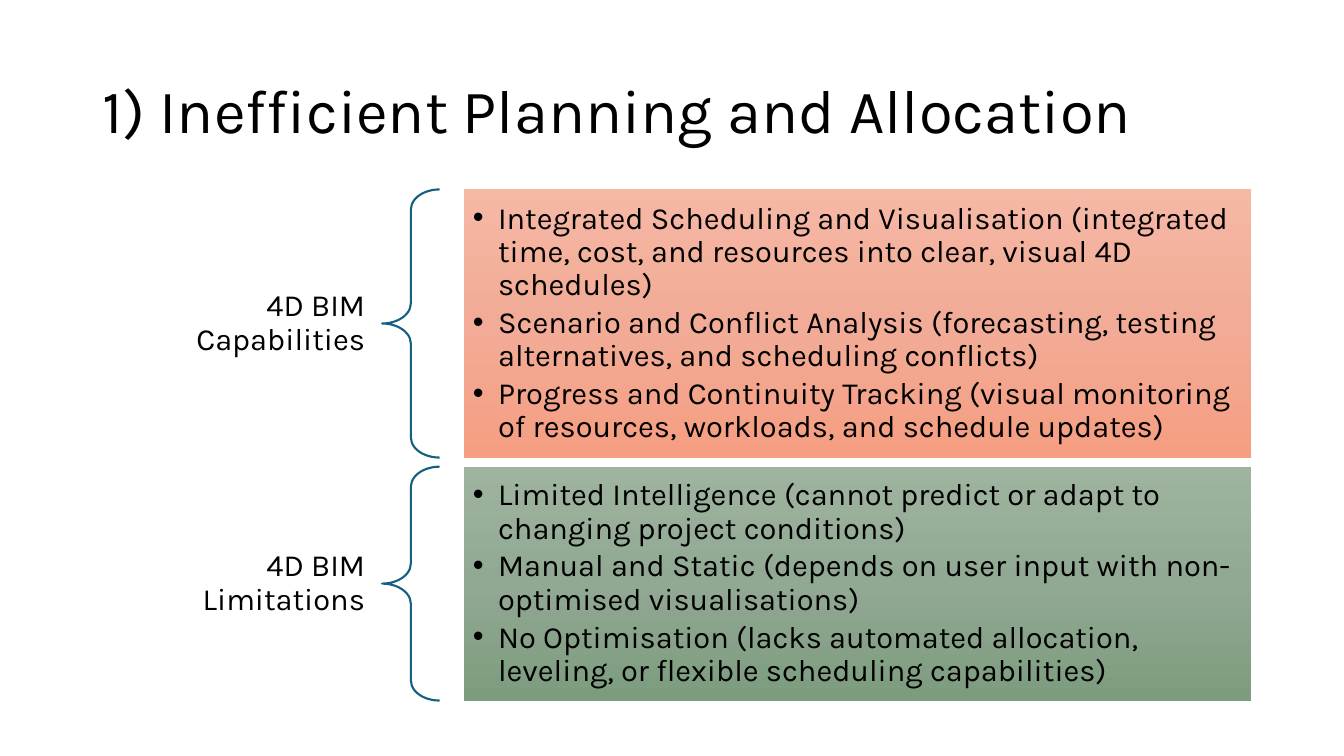
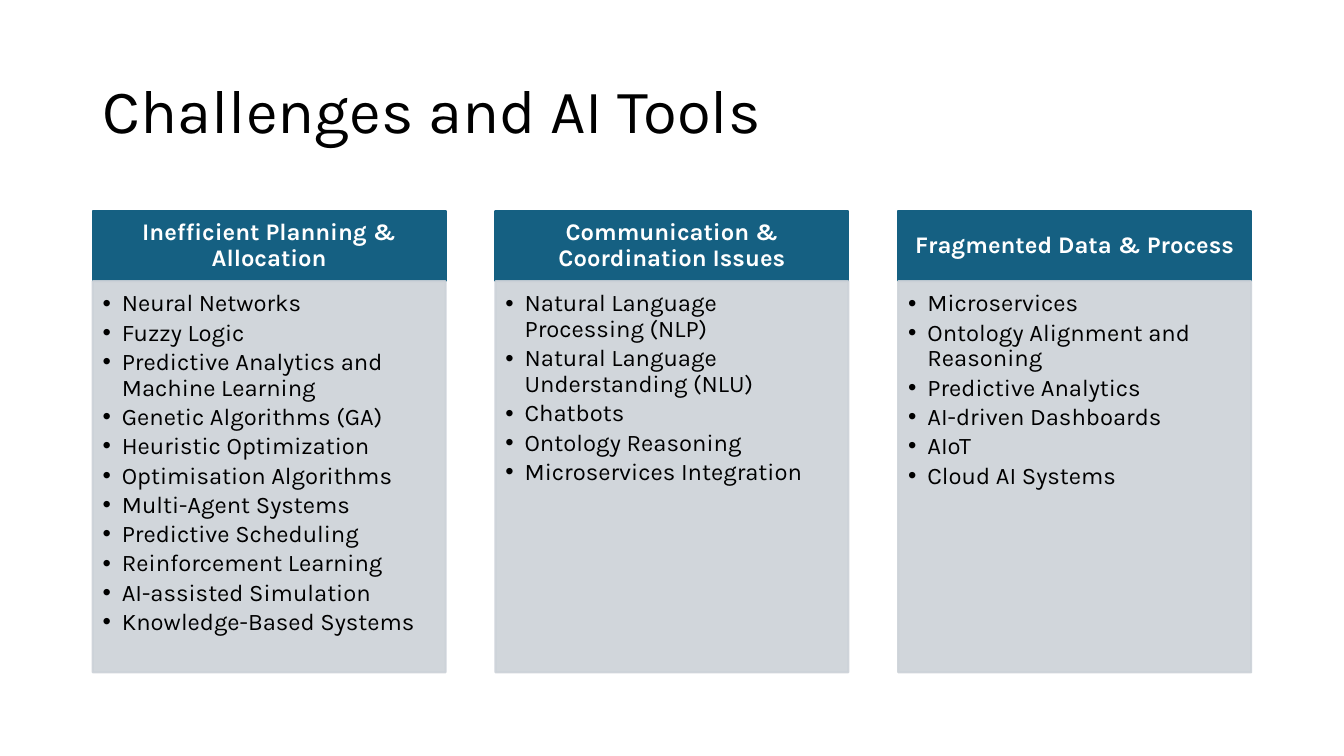
from copy import deepcopy

from lxml.etree import SubElement
from pptx import Presentation
from pptx.dml.color import RGBColor
from pptx.enum.shapes import MSO_SHAPE as Shape
from pptx.enum.text import MSO_ANCHOR as Anchor, MSO_AUTO_SIZE as AutoSize, PP_ALIGN as Align
from pptx.oxml.ns import qn
from pptx.util import Inches, Pt

COLORS = {
    "text": "000000",
    "header_text": "FFFFFF",
    "accent": "156082",
    "panel": "CCD2D8",
}
GRADIENTS = {
    "coral": ("F5B8A5", "F2AB96", "F59E82"),
    "sage": ("9EB49F", "91A892", "7D9C7E"),
}
FONT = "Karla"
LEFT, RIGHT = 0.92, 12.41
TITLE_BOX = (LEFT, 0.4, 11.5, 1.45)
LINE_WIDTH = Pt(1.5)

TITLE_FORMAT = {"size": Pt(44), "bold": False}
BRACKET_FORMAT = {"size": Pt(22), "bold": False}
HEADER_FORMAT = {"size": Pt(17), "bold": True}
TOOL_FORMAT = {"size": Pt(17), "bold": False}

BRACKETS = [
    ("4D BIM Capabilities", 1.88, 2.66, "coral", [
        "Integrated Scheduling and Visualisation (integrated time, cost, and resources "
        "into clear, visual 4D schedules)",
        "Scenario and Conflict Analysis (forecasting, testing alternatives, and "
        "scheduling conflicts)",
        "Progress and Continuity Tracking (visual monitoring of resources, workloads, "
        "and schedule updates)",
    ]),
    ("4D BIM Limitations", 4.63, 2.32, "sage", [
        "Limited Intelligence (cannot predict or adapt to changing project conditions)",
        "Manual and Static (depends on user input with non-optimised visualisations)",
        "No Optimisation (lacks automated allocation, leveling, or flexible scheduling "
        "capabilities)",
    ]),
]
CHALLENGES = [
    ("Inefficient Planning & Allocation", [
        "Neural Networks",
        "Fuzzy Logic",
        "Predictive Analytics and Machine Learning",
        "Genetic Algorithms (GA)",
        "Heuristic Optimization",
        "Optimisation Algorithms",
        "Multi-Agent Systems",
        "Predictive Scheduling",
        "Reinforcement Learning",
        "AI-assisted Simulation",
        "Knowledge-Based Systems",
    ]),
    ("Communication & Coordination Issues", [
        "Natural Language Processing (NLP)",
        "Natural Language Understanding (NLU)",
        "Chatbots",
        "Ontology Reasoning",
        "Microservices Integration",
    ]),
    ("Fragmented Data & Process", [
        "Microservices",
        "Ontology Alignment and Reasoning",
        "Predictive Analytics",
        "AI-driven Dashboards",
        "AIoT",
        "Cloud AI Systems",
    ]),
]


def color(name):
    """Return the named colour."""
    return RGBColor.from_string(COLORS[name])


def lengths(box):
    """Convert a row of numbers in inches to lengths."""
    return [Inches(value) for value in box]


def set_frame(frame, insets, anchor):
    """Set the wrapping, insets and anchor of a text frame."""
    left, top, right, bottom = lengths(insets)
    settings = {
        "word_wrap": True,
        "auto_size": AutoSize.NONE,
        "vertical_anchor": anchor,
        "margin_left": left,
        "margin_top": top,
        "margin_right": right,
        "margin_bottom": bottom,
    }
    for key, value in settings.items():
        setattr(frame, key, value)


def add_bullet(paragraph, indent):
    """Give a paragraph a hanging bullet."""
    properties = paragraph._p.get_or_add_pPr()
    properties.set("marL", str(Inches(indent)))
    properties.set("indent", str(-Inches(indent)))
    SubElement(properties, qn("a:buFont"), typeface="Arial")
    SubElement(properties, qn("a:buChar"), char="•")


def write(frame, lines, font_format, text_color="text", align=Align.LEFT, indent=0):
    """Write one paragraph per line, bulleted when an indent is given."""
    for number, line in enumerate(lines):
        paragraph = frame.paragraphs[0] if number == 0 else frame.add_paragraph()
        if indent:
            add_bullet(paragraph, indent)
        paragraph.alignment = align
        paragraph.line_spacing = 0.9
        paragraph.space_before = Pt(0)
        paragraph.space_after = Pt(font_format["size"].pt * 0.15 if indent else 0)
        run = paragraph.add_run()
        run.text = line
        run.font.name = FONT
        run.font.color.rgb = color(text_color)
        for key, value in font_format.items():
            setattr(run.font, key, value)


def add_titled_slide(deck, title):
    """Add a slide with the shared title style."""
    slide = deck.slides.add_slide(deck.slide_layouts[5])
    heading = slide.shapes.title
    heading.left, heading.top, heading.width, heading.height = lengths(TITLE_BOX)
    set_frame(heading.text_frame, (0.1, 0.05, 0.1, 0.05), Anchor.MIDDLE)
    write(heading.text_frame, [title], TITLE_FORMAT)
    return slide


def add_plain_shape(slide, preset, box):
    """Add a preset shape without a shadow."""
    shape = slide.shapes.add_shape(preset, *lengths(box))
    shape.shadow.inherit = False
    return shape


def add_panel(slide, box, fill_name, opacity=100):
    """Add a rectangle whose fill and outline share one colour."""
    panel = add_plain_shape(slide, Shape.RECTANGLE, box)
    panel.fill.solid()
    panel.fill.fore_color.rgb = color(fill_name)
    panel.line.color.rgb = color(fill_name)
    panel.line.width = LINE_WIDTH
    if opacity < 100:
        for tint in panel._element.spPr.iter(qn("a:srgbClr")):
            SubElement(tint, qn("a:alpha"), val=str(opacity * 1000))
    return panel


def add_gradient_panel(slide, box, gradient):
    """Add a borderless rectangle shaded evenly from top to bottom."""
    panel = add_plain_shape(slide, Shape.RECTANGLE, box)
    panel.line.fill.background()
    panel.fill.gradient()
    panel.fill.gradient_angle = 270
    first = next(panel._element.spPr.iter(qn("a:gs")))
    first.addnext(deepcopy(first))
    for number, (stop, shade) in enumerate(zip(panel.fill.gradient_stops, GRADIENTS[gradient])):
        stop.color.rgb = RGBColor.from_string(shade)
        stop.position = number / 2
    return panel


def add_bracket(slide, label, top, height, gradient, points):
    """Add a label, a brace and the panel of points it opens onto."""
    label_height = 0.8
    label_top = top + (height - label_height) / 2
    caption = slide.shapes.add_textbox(*lengths((LEFT, label_top, 2.87, label_height)))
    set_frame(caption.text_frame, (0.17, 0.06, 0.17, 0.06), Anchor.MIDDLE)
    write(caption.text_frame, [label], BRACKET_FORMAT, align=Align.RIGHT)

    brace = add_plain_shape(slide, Shape.LEFT_BRACE, (3.79, top, 0.57, height))
    brace.adjustments[0] = 0.35
    brace.fill.background()
    brace.line.color.rgb = color("accent")
    brace.line.width = LINE_WIDTH

    panel = add_gradient_panel(slide, (4.6, top, RIGHT - 4.6, height), gradient)
    set_frame(panel.text_frame, (0.09, 0.09, 0.09, 0.09), Anchor.MIDDLE)
    write(panel.text_frame, points, BRACKET_FORMAT, indent=0.25)


def add_challenge(slide, left, width, challenge, tools):
    """Add a column with a challenge header above its list of tools."""
    header = add_panel(slide, (left, 2.09, width, 0.7), "accent")
    set_frame(header.text_frame, (0.13, 0.08, 0.13, 0.08), Anchor.MIDDLE)
    write(header.text_frame, [challenge], HEADER_FORMAT, "header_text", Align.CENTER)

    body = add_panel(slide, (left, 2.79, width, 3.88), "panel", 90)
    set_frame(body.text_frame, (0.1, 0.1, 0.13, 0.15), Anchor.TOP)
    write(body.text_frame, tools, TOOL_FORMAT, indent=0.19)


def main():
    """Build and save the deck."""
    deck = Presentation()
    deck.slide_width, deck.slide_height = lengths((13.33, 7.5))

    planning = add_titled_slide(deck, "1) Inefficient Planning and Allocation")
    for bracket in BRACKETS:
        add_bracket(planning, *bracket)

    overview = add_titled_slide(deck, "Challenges and AI Tools")
    width = 3.5
    pitch = (RIGHT - LEFT - width) / (len(CHALLENGES) - 1)
    for number, (challenge, tools) in enumerate(CHALLENGES):
        add_challenge(overview, LEFT + number * pitch, width, challenge, tools)

    deck.save("out.pptx")


if __name__ == "__main__":
    main()
